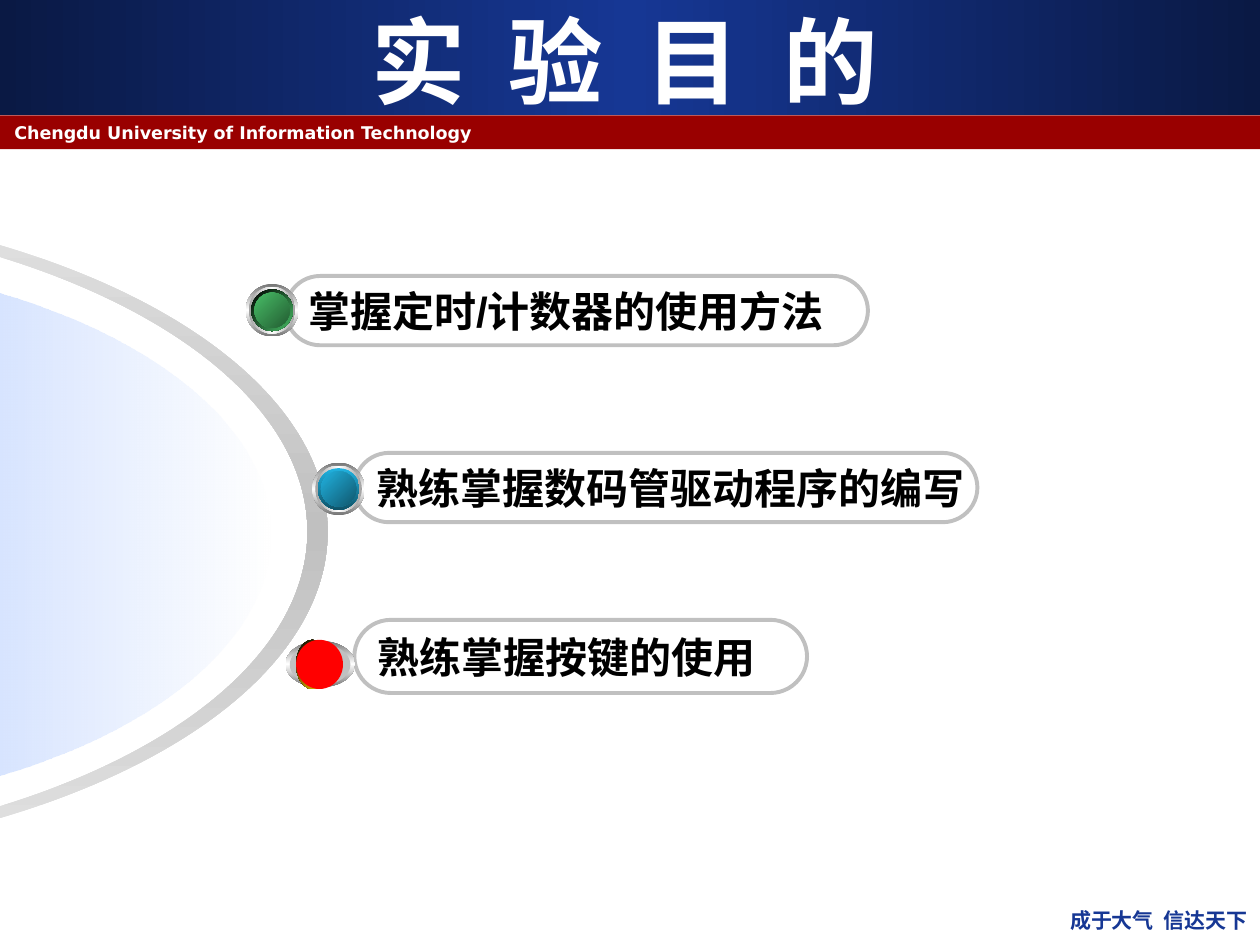
"""Build the slide that lists the aims of the lab."""
import lxml.etree
import pptx
import pptx.dml.color
import pptx.enum.shapes
import pptx.enum.text
import pptx.oxml.ns
import pptx.util

Pt = pptx.util.Pt
qn = pptx.oxml.ns.qn
sub = lxml.etree.SubElement
SHAPE = pptx.enum.shapes.MSO_SHAPE
ALIGN = pptx.enum.text.PP_ALIGN
ANCHOR = pptx.enum.text.MSO_ANCHOR


class Theme:
    """Hold the colours, fonts and type sizes."""
    navy, dark, red, white, black = "163794", "0A1944", "990000", "FFFFFF", "000000"
    silver, pale, sky, spot = "C0C0C0", "E2E2E2", "6699FF", "FF0000"
    steel, ash, gold = "767676", "A2A2A2", "FFCC00"
    head, body = "DejaVu Sans", "Arial"
    title, item, foot, strap = 54, 24, 12, 10


WIDE, HIGH = 720, 540
BANDS = [
    ((0, 0, WIDE, 65.5), ([Theme.dark, Theme.navy, Theme.dark], 0)),
    ((0, 65.9, WIDE, 19.4), Theme.red),
]
TEXTS = [
    ("成于大气  信达天下", (491.8, 514.8, 228.2, 25.2), Theme.foot, Theme.navy, ALIGN.RIGHT, ANCHOR.TOP),
    ("Chengdu University of Information Technology", (1.1, 66.2, 666, 18),
     Theme.strap, Theme.white, ALIGN.LEFT, ANCHOR.TOP),
    ("实  验  目  的", (23.8, 11.8, 666, 44.6), Theme.title, Theme.white, ALIGN.CENTER, ANCHOR.MIDDLE),
]
ITEMS = [
    ("熟练掌握数码管驱动程序的编写", (202.5, 258.8, 356, 39.6)),
    ("掌握定时/计数器的使用方法", (163.2, 157.7, 332.8, 39.6)),
    ("熟练掌握按键的使用", (202.5, 354.2, 258.7, 41.8)),
]
RIM = ([Theme.steel, Theme.white, Theme.steel], 90)
RING = ([Theme.ash, Theme.white, Theme.ash], 0)
SIZES = [30, 26.6, 23.8, 20.2]
BALLS = [
    ((155.5, 177.3), ([Theme.black, "48BE67"], 45), (["48BE67", "235C32"], 45)),
    ((193.5, 279.4), (["21B3E1", "0F5368"], 90), (["21B3E1", "10576D"], 45)),
]
BUTTON = [
    ((163.2, 366.2, 39.6, 26.6), RIM),
    ((165.6, 367.9, 34.6, 23.8), Theme.silver),
    ((169.2, 365.6, 18.7, 28.1), ([Theme.black, Theme.gold], 45)),
    ((169.2, 365.6, 26.8, 28.1), Theme.spot),
]
INNER = [(-188.6, 119.5), (13.7, 121), (175.7, 203), (175.7, 303.8)]
OUTER = [(-188.6, 113.8), (20.2, 115.2), (187.2, 200.2), (187.2, 303.8)]
BOWL = [(-154.8, 146.2), (15.8, 146.2), (154.8, 217.4), (154.8, 305.2)]


def rgb(tone):
    """Turn a hex string into a colour."""
    return pptx.dml.color.RGBColor.from_string(tone)


def paint(shape, fill, clear=None):
    """Fill a shape with a flat tone or a (tones, angle) blend."""
    shape.shadow.inherit = False
    shape.line.fill.background()
    if isinstance(fill, str):
        shape.fill.solid()
        shape.fill.fore_color.rgb = rgb(fill)
        return
    tones, angle = fill
    shape.fill.gradient()
    grad = shape.element.spPr.find(qn("a:gradFill"))
    for part in list(grad):
        grad.remove(part)
    stops = sub(grad, qn("a:gsLst"))
    for i, tone in enumerate(tones):
        stop = sub(stops, qn("a:gs"), pos=str(100000 * i // (len(tones) - 1)))
        mark = sub(stop, qn("a:srgbClr"), val=tone)
        if clear:
            sub(mark, qn("a:alpha"), val=str(clear[i] * 1000))
    sub(grad, qn("a:lin"), ang=str(angle * 60000), scaled="0")


def place(shapes, kind, box, fill):
    """Add a painted preset shape."""
    shape = shapes.add_shape(kind, *map(Pt, box))
    paint(shape, fill)
    return shape


def write(shape, text, size, tone, font, align, anchor, wrap=True):
    """Put one bold run into a shape."""
    frame = shape.text_frame
    frame.word_wrap, frame.vertical_anchor = wrap, anchor
    frame.margin_left = frame.margin_right = Pt(7.2)
    frame.margin_top = frame.margin_bottom = Pt(3.6)
    para = frame.paragraphs[0]
    para.alignment = align
    run = para.add_run()
    run.text = text
    run.font.size, run.font.bold, run.font.name = Pt(size), True, font
    run.font.color.rgb = rgb(tone)


def bow(arc):
    """Mirror a quarter curve downwards into a half."""
    mid = arc[-1][1]
    return arc + [(x, 2 * mid - y) for x, y in arc[-2::-1]]


def trace(shapes, bows, fill, clear=None):
    """Add a painted outline of joined bows, each made of two curves."""
    dots = [(Pt(x), Pt(y)) for arc in bows for x, y in arc]
    pen = shapes.build_freeform(*dots[0])
    pen.add_line_segments(dots[1:], close=True)
    shape = pen.convert_to_shape()
    lines = list(shape.element.iter(qn("a:lnTo")))
    for first in range(0, len(lines), 7):
        for start in (first, first + 3):
            trio = lines[start:start + 3]
            curve = lxml.etree.Element(qn("a:cubicBezTo"))
            trio[0].addprevious(curve)
            for line in trio:
                curve.append(line[0])
                line.getparent().remove(line)
    paint(shape, fill, clear)


def main():
    """Build and save the slide."""
    deck = pptx.Presentation()
    deck.slide_width, deck.slide_height = Pt(WIDE), Pt(HIGH)
    shapes = deck.slides.add_slide(deck.slide_layouts[6]).shapes

    for box, fill in BANDS:
        place(shapes, SHAPE.RECTANGLE, box, fill)
    for text, box, size, tone, align, anchor in TEXTS:
        write(shapes.add_textbox(*map(Pt, box)), text, size, tone, Theme.head, align, anchor)

    trace(shapes, [bow(INNER), bow(OUTER)[::-1]], ([Theme.pale, Theme.silver, Theme.pale], 90))
    trace(shapes, [bow(BOWL)], ([Theme.sky, Theme.white], 0), (56, 48))

    for text, box in ITEMS:
        pill = place(shapes, SHAPE.ROUNDED_RECTANGLE, box, Theme.white)
        pill.adjustments[0] = 0.5
        pill.fill.background()
        pill.line.color.rgb, pill.line.width = rgb(Theme.silver), Pt(2.25)
        write(pill, text, Theme.item, Theme.black, Theme.body, ALIGN.LEFT, ANCHOR.MIDDLE, False)

    for (x, y), edge, core in BALLS:
        group = shapes.add_group_shape().shapes
        for size, fill in zip(SIZES, (RIM, RING, edge, core)):
            place(group, SHAPE.OVAL, (x - size / 2, y - size / 2, size, size), fill)
    group = shapes.add_group_shape().shapes
    for box, fill in BUTTON:
        place(group, SHAPE.OVAL, box, fill)

    deck.save("out.pptx")


if __name__ == "__main__":
    main()
